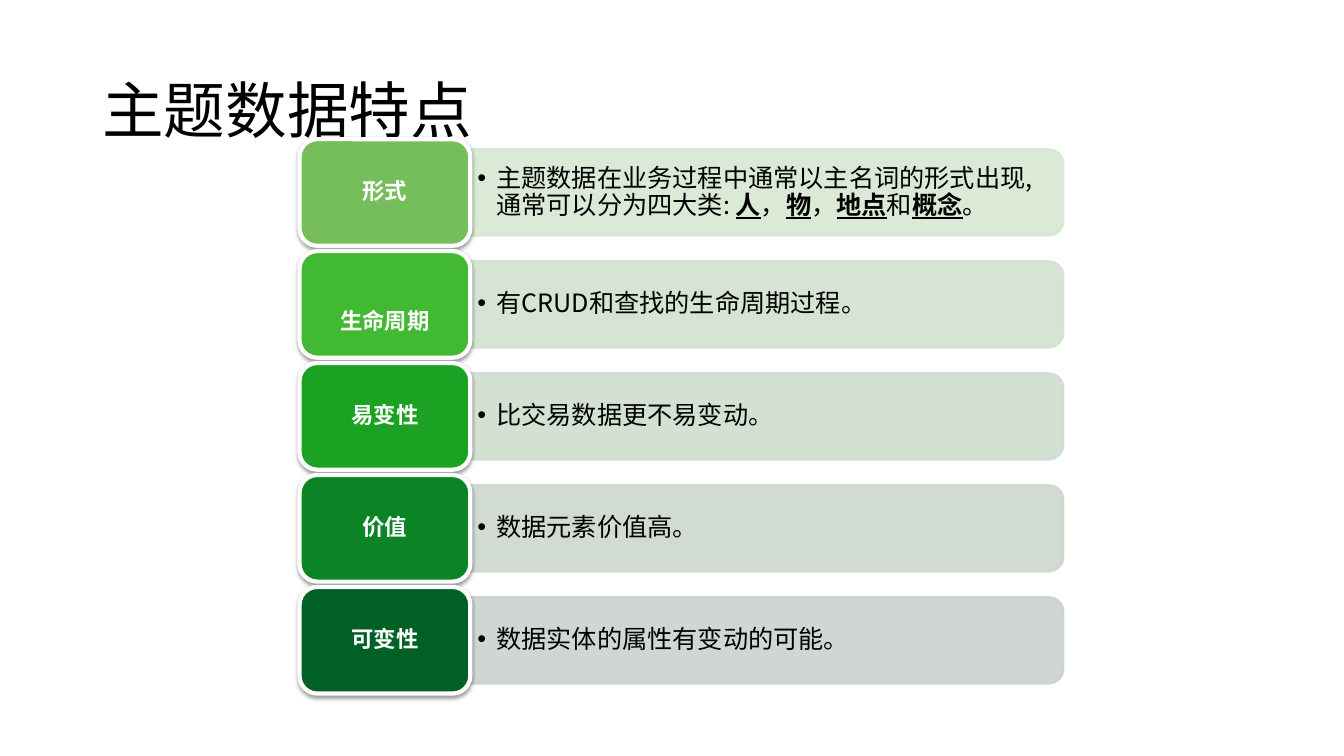
from dataclasses import dataclass

from pptx import Presentation
from pptx.dml.color import RGBColor
from pptx.enum.shapes import MSO_SHAPE
from pptx.enum.text import MSO_ANCHOR, PP_ALIGN
from pptx.oxml.ns import qn
from pptx.util import Pt
from lxml.etree import SubElement


@dataclass(frozen=True)
class Theme:
    ink: str = "000000"
    paper: str = "FFFFFF"
    head: str = "Calibri"
    body: str = "Noto Sans CJK SC"
    title: int = 44
    text: int = 18
    label: int = 16


THEME = Theme()

# Label, label fill, bar fill, text runs (word, stressed), drop of the label text
ROWS = [
    ("形式", "76BE5B", "D6E8D2",
     [("主题数据在业务过程中通常以主名词的形式出现, 通常可以分为四大类: ", False),
      ("人", True), ("，", False), ("物", True), ("，", False),
      ("地点", True), ("和", False), ("概念", True), ("。", False)], 0),
    ("生命周期", "41B932", "D2E3CF", [("有CRUD和查找的生命周期过程。", False)], 26),
    ("易变性", "1BA222", "CEDECE", [("比交易数据更不易变动。", False)], 0),
    ("价值", "0A8425", "CCD8CD", [("数据元素价值高。", False)], 0),
    ("可变性", "006025", "CBD2CD", [("数据实体的属性有变动的可能。", False)], 0),
]


def rgb(code):
    return RGBColor.from_string(code)


def place(box):
    return [Pt(n) for n in box]


def add_run(para, text, size, color, face, bold=False, under=False):
    run = para.add_run()
    run.text = text
    font = run.font
    font.size, font.name = Pt(size), face
    font.bold, font.underline = bold, under
    font.color.rgb = rgb(color)
    SubElement(run._r.get_or_add_rPr(), qn("a:ea"), typeface=THEME.body)


def set_frame(shape, side, edge, drop=0):
    """Set wrap, middle anchor and insets; return the first paragraph."""
    frame = shape.text_frame
    frame.word_wrap = True
    frame.vertical_anchor = MSO_ANCHOR.MIDDLE
    frame.margin_left = frame.margin_right = Pt(side)
    frame.margin_top, frame.margin_bottom = Pt(edge + drop), Pt(edge)
    para = frame.paragraphs[0]
    para.line_spacing = 0.9
    return para


def add_block(slide, kind, box, fill, line, width):
    shape = slide.shapes.add_shape(kind, *place(box))
    shape.shadow.inherit = False
    shape.fill.solid()
    shape.fill.fore_color.rgb = rgb(fill)
    shape.line.color.rgb = rgb(line)
    shape.line.width = Pt(width)
    return shape


def add_title(slide, box, text):
    shape = slide.shapes.add_textbox(*place(box))
    para = set_frame(shape, 7.2, 3.6)
    add_run(para, text, THEME.title, THEME.ink, THEME.head)


def add_bar(slide, box, fill, runs):
    """Draw a bar rounded at its right end, with bulleted text over it."""
    left, top, wide, high = box
    # A quarter turn about the centre puts the rounded top on the right.
    turned = (left + (wide - high) / 2, top + (high - wide) / 2, high, wide)
    bar = add_block(slide, MSO_SHAPE.ROUND_2_SAME_RECTANGLE, turned, fill, fill, 2)
    bar.rotation = 90
    for color in bar._element.spPr.iter(qn("a:srgbClr")):
        SubElement(color, qn("a:alpha"), val="90000")

    note = slide.shapes.add_textbox(*place((left, top + 3, wide - 3, high - 6)))
    para = set_frame(note, 5, 2.7)
    props = para._p.get_or_add_pPr()
    props.set("marL", str(Pt(13.5)))
    props.set("indent", str(-Pt(13.5)))
    SubElement(props, qn("a:buFont"), typeface="Arial")
    SubElement(props, qn("a:buChar"), char="•")
    for text, stress in runs:
        add_run(para, text, THEME.text, THEME.ink, THEME.body, stress, stress)


def add_label(slide, box, fill, text, drop):
    shape = add_block(slide, MSO_SHAPE.ROUNDED_RECTANGLE, box, fill, THEME.paper, 3)
    effects = shape._element.spPr.find(qn("a:effectLst"))
    shade = SubElement(effects, qn("a:outerShdw"), blurRad=str(Pt(3.1)),
                       dist=str(Pt(1.6)), dir="5400000", rotWithShape="0")
    color = SubElement(shade, qn("a:srgbClr"), val=THEME.ink)
    SubElement(color, qn("a:alpha"), val="38000")
    para = set_frame(shape, 5, 2.5, drop)
    para.alignment = PP_ALIGN.CENTER
    add_run(para, text, THEME.label, THEME.paper, THEME.body, True)


def add_list(slide, box, rows):
    """Stack the rows so that label heights and gaps fill the box."""
    left, top, wide, high = box
    gap = 3.8
    tall = (high - gap * (len(rows) - 1)) / len(rows)
    side, bar = 122, 61.2
    for i, (name, dark, pale, runs, drop) in enumerate(rows):
        y = top + i * (tall + gap)
        add_bar(slide, (left + side, y + (tall - bar) / 2, wide - side, bar), pale, runs)
        add_label(slide, (left, y, side, tall), dark, name, drop)


def main():
    deck = Presentation()
    deck.slide_width, deck.slide_height = Pt(960), Pt(540)
    slide = deck.slides.add_slide(deck.slide_layouts[6])
    add_title(slide, (66, 28.8, 828, 104.4), "主题数据特点")
    add_list(slide, (214, 99.4, 545.3, 396), ROWS)
    deck.save("out.pptx")


if __name__ == "__main__":
    main()
